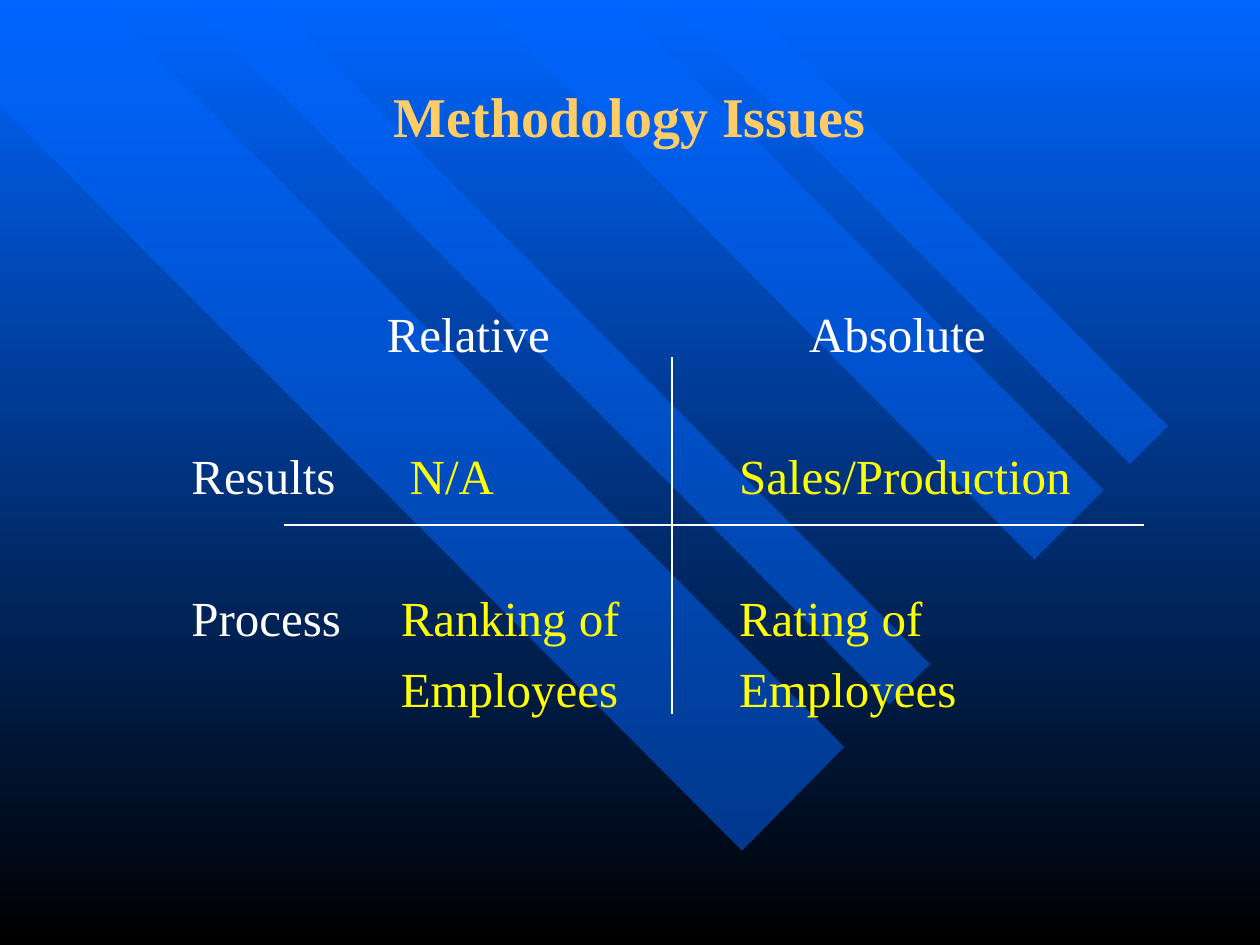
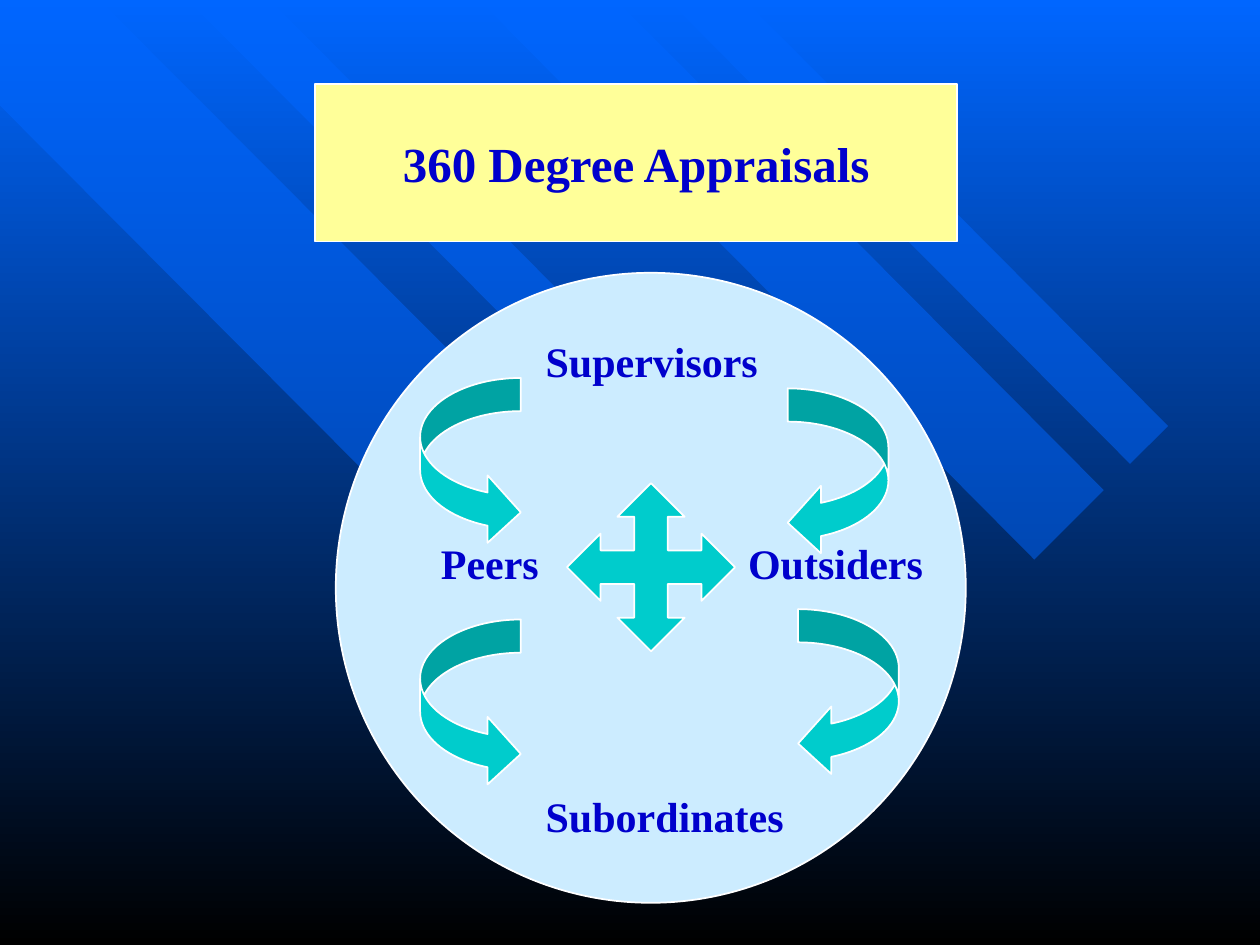
from lxml import etree
from pptx import Presentation
from pptx.dml.color import RGBColor
from pptx.enum.shapes import MSO_CONNECTOR, MSO_SHAPE
from pptx.enum.text import MSO_ANCHOR, PP_ALIGN
from pptx.oxml.ns import qn
from pptx.util import Cm, Pt

FONT = "Times New Roman"
WHITE = RGBColor(0xFF, 0xFF, 0xFF)
BLACK = RGBColor(0x00, 0x00, 0x00)
BLUE = RGBColor(0x00, 0x66, 0xFF)
NAVY = RGBColor(0x00, 0x00, 0xCC)
GOLD = RGBColor(0xFF, 0xCC, 0x66)
YELLOW = RGBColor(0xFF, 0xFF, 0x00)
CREAM = RGBColor(0xFF, 0xFF, 0x99)
PALE = RGBColor(0xCC, 0xEC, 0xFF)
TEAL = RGBColor(0x00, 0xCC, 0xCC)

# Corners of the slanted bands, in cm
BANDS = [
    [(17.02, 15.06), (2.01, 0), (0, 0), (0, 2.13), (14.96, 17.15)],
    [(5.44, 0), (18.75, 13.39), (17.93, 14.2), (3.78, 0)],
    [(12.42, 0), (22.25, 9.88), (20.85, 11.28), (9.65, 0)],
    [(13.46, 0), (22.78, 9.35), (23.55, 8.59), (15.01, 0)],
]


def set_back(master):
    fill = master.background.fill
    fill.gradient()
    fill.gradient_angle = 270
    for stop, color, place in zip(fill.gradient_stops, (BLUE, BLACK), (0, 1)):
        stop.color.rgb = color
        stop.position = place


def add_band(slide, points):
    first, *rest = [(Cm(x), Cm(y)) for x, y in points]
    pen = slide.shapes.build_freeform(*first)
    pen.add_line_segments(rest, close=True)
    band = pen.convert_to_shape()
    band.shadow.inherit = False
    band.fill.solid()
    band.fill.fore_color.rgb = BLUE
    band.line.fill.background()
    color = band.fill._xPr.find(".//" + qn("a:srgbClr"))
    etree.SubElement(color, qn("a:alpha"), val="50000")


def new_slide(deck):
    """Add a blank slide with the slanted bands."""
    slide = deck.slides.add_slide(deck.slide_layouts[6])
    for points in BANDS:
        add_band(slide, points)
    return slide


def put_text(frame, text, size, color, bold=False, align=PP_ALIGN.LEFT):
    frame.text = text
    for index, para in enumerate(frame.paragraphs):
        para.alignment = align
        para.space_before = Pt(7 if index else 0)
        font = para.font
        font.name, font.size, font.bold = FONT, Pt(size), bold
        font.color.rgb = color


def add_label(slide, text, x, y, size, color, bold=False):
    """Add text whose first line starts exactly at x, y."""
    frame = slide.shapes.add_textbox(Cm(x), Cm(y), Cm(7.2), Cm(1.2)).text_frame
    frame.margin_left = frame.margin_right = 0
    frame.margin_top = frame.margin_bottom = 0
    frame.word_wrap = True
    put_text(frame, text, size, color, bold)


def add_title(slide, text):
    frame = slide.shapes.add_textbox(Cm(1.9), Cm(0.64), Cm(21.6), Cm(3.38)).text_frame
    frame.word_wrap = True
    frame.vertical_anchor = MSO_ANCHOR.MIDDLE
    put_text(frame, text, 32, GOLD, True, PP_ALIGN.CENTER)


def add_line(slide, x1, y1, x2, y2):
    line = slide.shapes.add_connector(
        MSO_CONNECTOR.STRAIGHT, Cm(x1), Cm(y1), Cm(x2), Cm(y2))
    line.line.color.rgb = WHITE
    line.line.width = Pt(1)
    etree.SubElement(line._element.spPr, qn("a:effectLst"))


def add_form(slide, kind, x, y, wide, high, color, adjust=()):
    form = slide.shapes.add_shape(kind, Cm(x), Cm(y), Cm(wide), Cm(high))
    form.shadow.inherit = False
    form.fill.solid()
    form.fill.fore_color.rgb = color
    form.line.color.rgb = WHITE
    form.line.width = Pt(1)
    for index, value in enumerate(adjust):
        form.adjustments[index] = value
    return form


def show_issues(deck):
    slide = new_slide(deck)
    add_title(slide, "Methodology Issues")
    top, step = 6.11, 2.87
    cells = [
        (0, 7.8, "Relative", WHITE),
        (0, 16.31, "Absolute", WHITE),
        (1, 3.86, "Results", WHITE),
        (1, 8.26, "N/A", YELLOW),
        (1, 14.9, "Sales/Production", YELLOW),
        (2, 3.86, "Process", WHITE),
        (2, 8.08, "Ranking of\nEmployees", YELLOW),
        (2, 14.9, "Rating of\nEmployees", YELLOW),
    ]
    for row, x, text, color in cells:
        add_label(slide, text, x, top + row * step, 28, color)
    add_line(slide, 5.72, 10.58, 23.07, 10.58)
    add_line(slide, 13.55, 7.2, 13.55, 14.4)


def show_circle(deck):
    slide = new_slide(deck)
    head = add_form(slide, MSO_SHAPE.RECTANGLE, 6.35, 1.69, 12.95, 3.18, CREAM)
    head.text_frame.vertical_anchor = MSO_ANCHOR.MIDDLE
    put_text(head.text_frame, "360 Degree Appraisals", 28, NAVY, True,
             PP_ALIGN.CENTER)
    add_form(slide, MSO_SHAPE.OVAL, 6.77, 5.5, 12.7, 12.7, PALE)

    raters = [
        ("Supervisors", 11, 6.76),
        ("Peers", 8.89, 10.84),
        ("Outsiders", 15.08, 10.84),
        ("Subordinates", 11, 15.93),
    ]
    for text, x, y in raters:
        add_label(slide, text, x, y, 24, NAVY, True)

    right, left = MSO_SHAPE.CURVED_RIGHT_ARROW, MSO_SHAPE.CURVED_LEFT_ARROW
    turns = [(right, 8.47, 7.62), (left, 15.88, 7.83),
             (right, 8.47, 12.49), (left, 16.09, 12.28)]
    for kind, x, y in turns:
        add_form(slide, kind, x, y, 2.03, 3.39, TEAL, (0.33, 0.67, 0.33))
    add_form(slide, MSO_SHAPE.QUAD_ARROW, 11.43, 9.74, 3.39, 3.39, TEAL,
             (0.2, 0.2, 0.2))


def main():
    deck = Presentation()
    deck.slide_width, deck.slide_height = Cm(25.4), Cm(19.05)
    set_back(deck.slide_master)
    show_issues(deck)
    show_circle(deck)
    deck.save("out.pptx")


if __name__ == "__main__":
    main()
